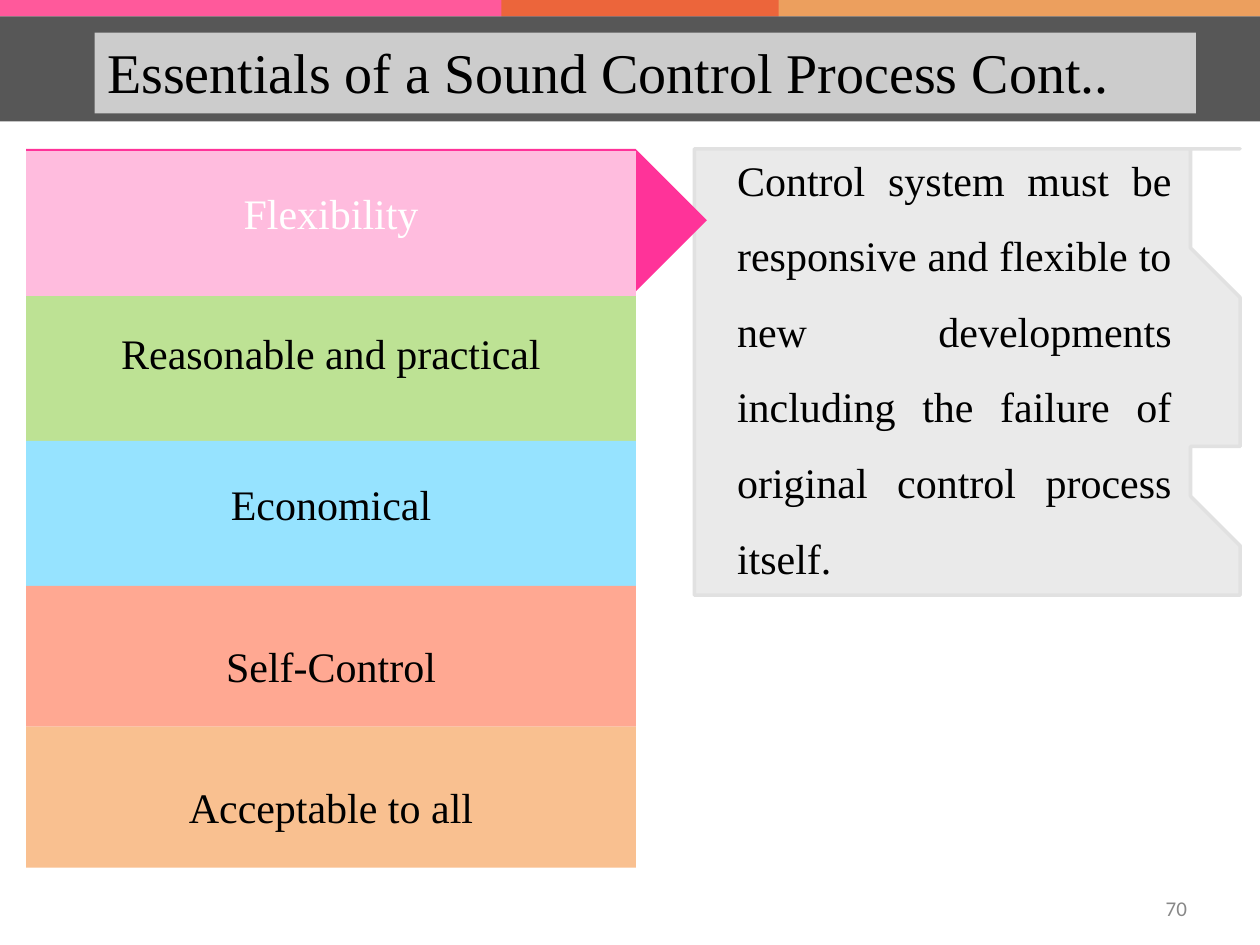
from lxml.etree import SubElement
from pptx import Presentation
from pptx.dml.color import RGBColor
from pptx.enum.shapes import MSO_SHAPE as Shape
from pptx.enum.text import MSO_ANCHOR as Anchor, PP_ALIGN as Align
from pptx.oxml.ns import qn
from pptx.util import Cm, Pt

BLACK = RGBColor(0x00, 0x00, 0x00)
WHITE = RGBColor(0xFF, 0xFF, 0xFF)
NUMBER_GREY = RGBColor(0x88, 0x88, 0x88)
HEADER_GREY = RGBColor(0x40, 0x40, 0x40)
STRIP_PINK = RGBColor(0xFF, 0x00, 0x66)
STRIP_ORANGE = RGBColor(0xE3, 0x6C, 0x09)
ARROW_PINK = RGBColor(0xFF, 0x33, 0x99)
PAPER = RGBColor(0xEA, 0xEA, 0xEA)
PAPER_EDGE = RGBColor(0xE1, 0xE1, 0xE1)
ROW_PINK = RGBColor(0xFF, 0xBC, 0xDE)
ROW_GREEN = RGBColor(0xBD, 0xE2, 0x94)
ROW_BLUE = RGBColor(0x96, 0xE3, 0xFF)
ROW_RED = RGBColor(0xFF, 0xA8, 0x92)
ROW_ORANGE = RGBColor(0xF9, 0xC0, 0x90)

SERIF = "Times New Roman"
LIST_LEFT, LIST_TOP, LIST_WIDTH = 0.53, 3.05, 12.29

ESSENTIALS = [
    ("Flexibility", ROW_PINK, WHITE, 2.92, 0.74),
    ("Reasonable and practical", ROW_GREEN, BLACK, 2.92, 0.64),
    ("Economical", ROW_BLUE, BLACK, 2.92, 0.76),
    ("Self-Control", ROW_RED, BLACK, 2.84, 1.1),
    ("Acceptable to all", ROW_ORANGE, BLACK, 2.84, 1.1),
]

PAPER_OUTLINE = [
    (13.72, 3.07), (24.54, 3.07), (24.46, 3.4), (24.41, 3.81), (24.38, 4.24),
    (24.41, 4.62), (24.49, 5.03), (24.56, 5.59), (24.66, 6.35), (24.71, 6.73),
    (24.74, 7.24), (24.71, 7.65), (24.64, 8.05), (24.54, 8.64), (24.49, 9.02),
    (24.46, 9.37), (24.49, 10.06), (24.56, 10.82), (24.69, 11.73),
    (18.59, 11.79), (13.72, 11.81), (13.77, 10.41), (13.79, 9.14),
    (13.79, 7.62), (13.77, 6.1), (13.74, 3.81),
]


def add_block(slide, box, color, opacity=100, preset=Shape.RECTANGLE):
    block = slide.shapes.add_shape(preset, *map(Cm, box))
    block.shadow.inherit = False
    block.fill.solid()
    block.fill.fore_color.rgb = color
    block.line.fill.background()
    if opacity < 100:
        tint = block.fill._xPr.find(qn("a:solidFill"))[0]
        SubElement(tint, qn("a:alpha"), val=str(opacity * 1000))
    return block


def write(holder, words, size, color=BLACK, font=SERIF, align=Align.LEFT,
          left=0, top=0, spacing=None):
    frame = holder.text_frame
    frame.word_wrap = True
    frame.vertical_anchor = Anchor.TOP
    frame.margin_left, frame.margin_top = Cm(left), Cm(top)
    frame.margin_right = frame.margin_bottom = 0
    paragraph = frame.paragraphs[0]
    paragraph.text = words
    paragraph.alignment = align
    paragraph.line_spacing = spacing
    paragraph.font.name = font
    paragraph.font.size = Pt(size)
    paragraph.font.color.rgb = color


def add_header(slide):
    add_block(slide, (0, 0, 15.7, 0.33), STRIP_PINK, 65)
    add_block(slide, (10.11, 0, 15.29, 0.33), STRIP_ORANGE, 65)
    add_block(slide, (0, 0.33, 25.4, 2.12), HEADER_GREY, 88)
    title = add_block(slide, (1.91, 0.66, 22.2, 1.63), WHITE, 70)
    write(title, "Essentials of a Sound Control Process Cont..", 32,
          left=0.25, top=0.1)


def add_explanation(slide):
    builder = slide.shapes.build_freeform(*PAPER_OUTLINE[0], scale=Cm(1))
    builder.add_line_segments(PAPER_OUTLINE[1:], close=True)
    paper = builder.convert_to_shape()
    paper.shadow.inherit = False
    paper.fill.solid()
    paper.fill.fore_color.rgb = PAPER
    paper.line.color.rgb = PAPER_EDGE
    paper.line.width = Pt(2)
    explanation = slide.shapes.add_textbox(
        Cm(14.86), Cm(2.57), Cm(8.76), Cm(9.22))
    write(explanation, "Control system must be responsive and flexible to new "
          "developments including the failure of original control process "
          "itself.", 24, align=Align.JUSTIFY, top=0.03, spacing=1.5)


def add_essentials(slide):
    add_block(slide, (LIST_LEFT, 3, 13.72, 2.88), ARROW_PINK,
              preset=Shape.PENTAGON)
    top = LIST_TOP
    for label, color, text_color, height, padding in ESSENTIALS:
        row = add_block(slide, (LIST_LEFT, top, LIST_WIDTH, height), color)
        write(row, label, 24, text_color, align=Align.CENTER, top=padding)
        top += height


def add_page_number(slide):
    number = slide.shapes.add_textbox(Cm(23.27), Cm(17.96), Cm(0.76), Cm(0.66))
    write(number, "70", 12, NUMBER_GREY, "Calibri", left=0.23, top=0.1)


def main():
    deck = Presentation()
    deck.slide_width, deck.slide_height = Cm(25.4), Cm(19.05)
    slide = deck.slides.add_slide(deck.slide_layouts[6])
    add_header(slide)
    add_explanation(slide)
    add_essentials(slide)
    add_page_number(slide)
    deck.save("out.pptx")


if __name__ == "__main__":
    main()
